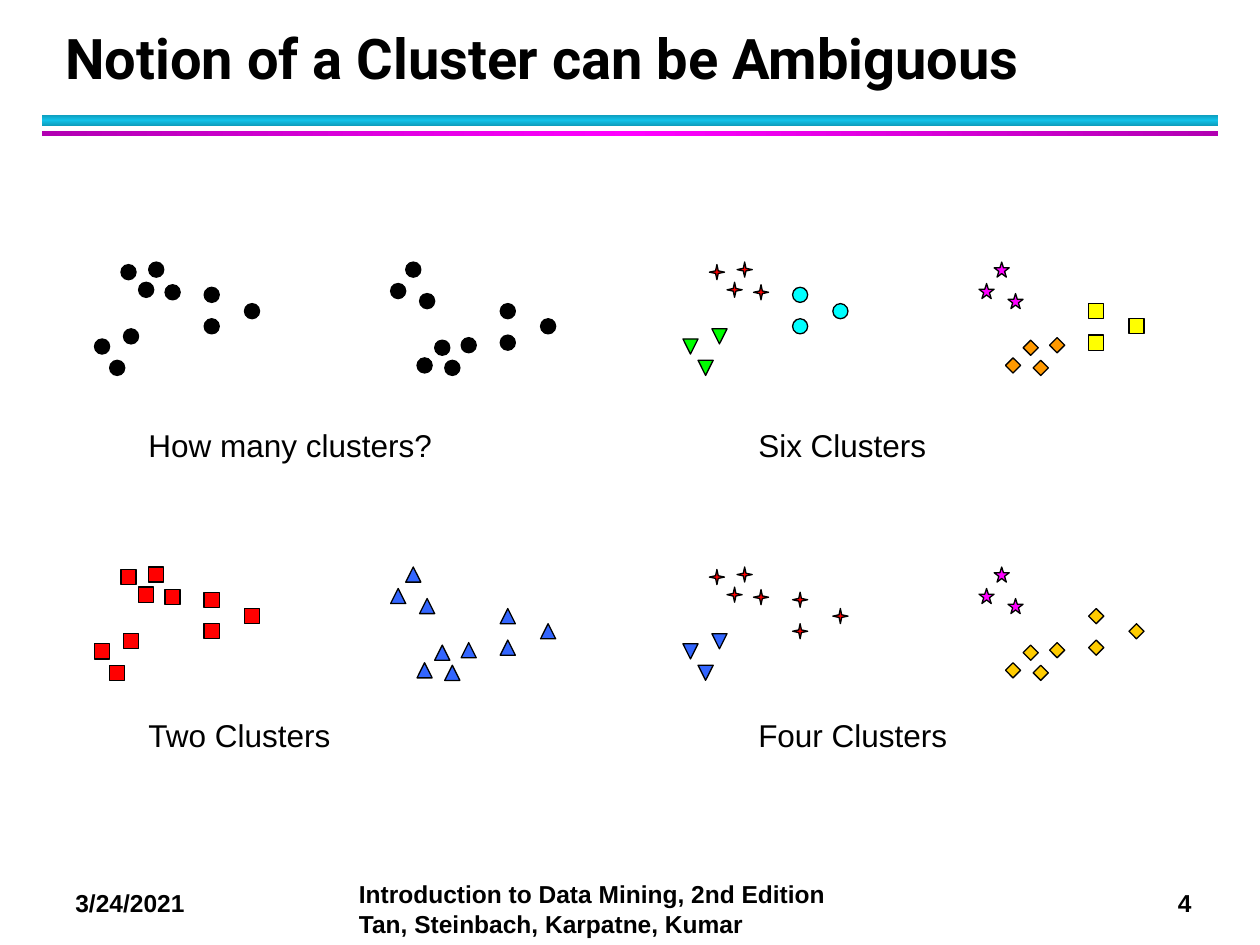
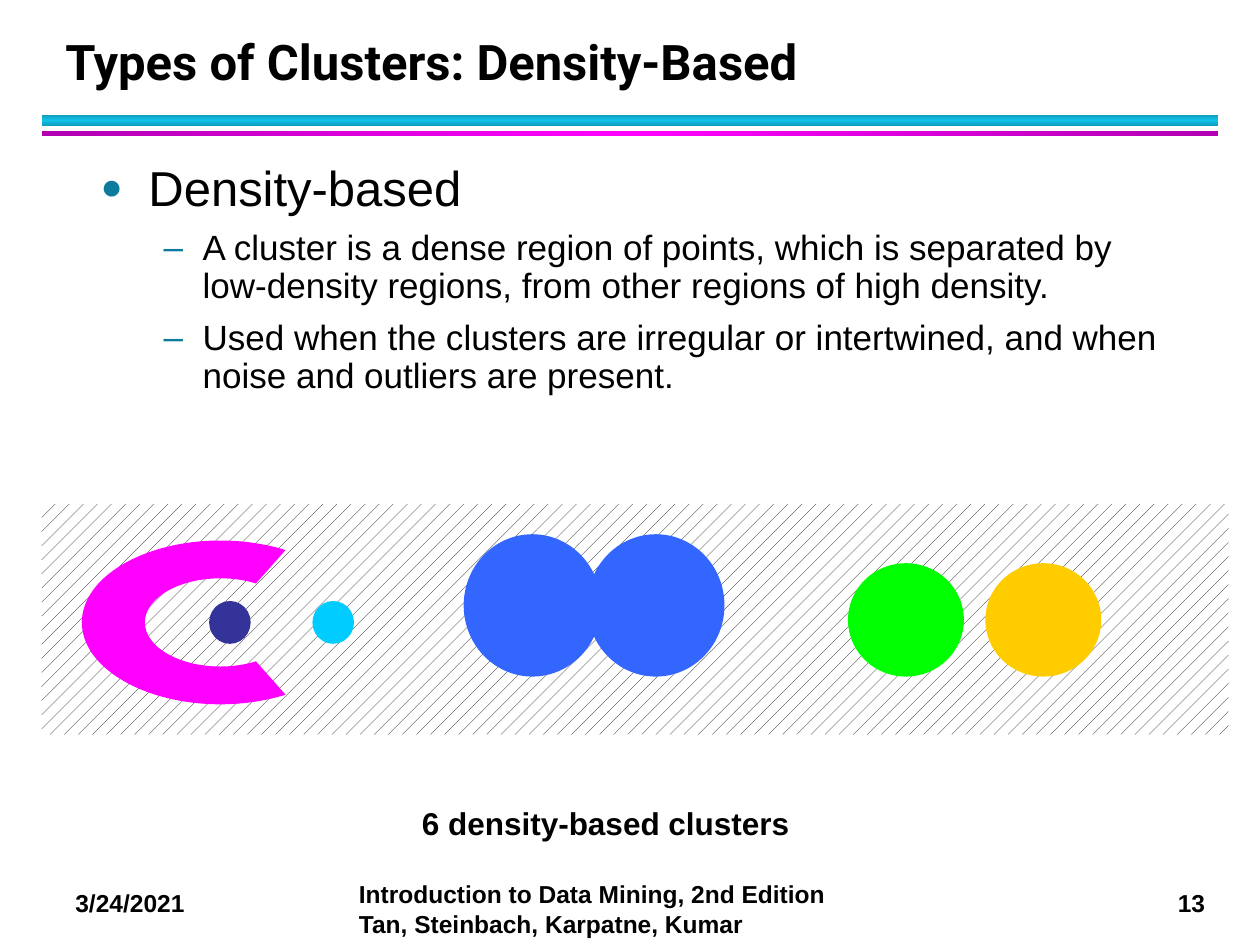
import copy
import math
from dataclasses import dataclass

import lxml.etree
import pptx
import pptx.dml.color
import pptx.enum.dml
import pptx.enum.shapes
import pptx.enum.text
import pptx.oxml.ns
import pptx.util

Inches = pptx.util.Inches
Pt = pptx.util.Pt
Kind = pptx.enum.shapes.MSO_SHAPE
qn = pptx.oxml.ns.qn
color = pptx.dml.color.RGBColor.from_string


@dataclass(frozen=True)
class Theme:
    black: str = "000000"
    white: str = "FFFFFF"
    red: str = "FF0000"
    blue: str = "3366FF"
    navy: str = "333399"
    sky: str = "00CCFF"
    cyan: str = "00FFFF"
    green: str = "00FF00"
    magenta: str = "FF00FF"
    dark_magenta: str = "B200B2"
    gold: str = "FFCC00"
    orange: str = "FF9900"
    yellow: str = "FFFF00"
    teal: str = "12C2E9"
    dark_teal: str = "0E9BBA"
    bullet: str = "0C7B9C"
    title_font: str = "Roboto"
    text_font: str = "Arial"
    footer_size: int = 14
    label_size: int = 18
    point_size: int = 20
    topic_size: int = 28


theme = Theme()


def add_text(page, box, lines, size, bold=False, font=theme.text_font):
    frame = page.shapes.add_textbox(*map(Inches, box)).text_frame
    frame.word_wrap = True
    for index, line in enumerate(lines):
        para = frame.paragraphs[0] if index == 0 else frame.add_paragraph()
        para.text = line
        para.font.name = font
        para.font.size = Pt(size)
        para.font.bold = bold
        para.font.color.rgb = color(theme.black)
    return frame


def add_mark(page, kind, box, fill, outline=None):
    mark = page.shapes.add_shape(kind, *map(Inches, box))
    mark.shadow.inherit = False
    mark.fill.solid()
    mark.fill.fore_color.rgb = color(fill)
    if outline:
        mark.line.color.rgb = color(outline)
        mark.line.width = Pt(0.75)
    else:
        mark.line.fill.background()
    return mark


deck = pptx.Presentation()
deck.slide_width = Inches(10)
deck.slide_height = Inches(7.5)

bands = [
    (0.91, 0.09, 90, theme.dark_teal, theme.teal),
    (1.04, 0.04, 0, theme.dark_magenta, theme.magenta),
]
titles = [
    ("Notion of a Cluster can be Ambiguous", 32, "4"),
    ("Types of Clusters: Density-Based", 28, "13"),
]
pages = []
for title, title_size, number in titles:
    page = deck.slides.add_slide(deck.slide_layouts[6])
    pages.append(page)
    for top, height, angle, edge, middle in bands:
        band = add_mark(page, Kind.RECTANGLE, (0.33, top, 9.34, height), edge)
        band.fill.gradient()
        band.fill.gradient_angle = angle
        stop_list = band._element.spPr.find(".//" + qn("a:gsLst"))
        stop_list.append(copy.deepcopy(stop_list[0]))
        for stop, position, shade in zip(
            band.fill.gradient_stops, (0, 0.5, 1), (edge, middle, edge)
        ):
            stop.position = position
            stop.color.rgb = color(shade)
    footers = [
        ((0.5, 7, 1.33, 0.34), "3/24/2021"),
        ((9.25, 7, 0.44, 0.34), number),
        ((2.75, 6.93, 4.08, 0.57),
         "Introduction to Data Mining, 2nd Edition Tan, Steinbach, Karpatne, Kumar"),
    ]
    for box, text in footers:
        add_text(page, box, [text], theme.footer_size, True)
    heading = add_text(page, (0.42, 0.17, 9.06, 0.6), [title], title_size, True, theme.title_font)
    heading.vertical_anchor = pptx.enum.text.MSO_ANCHOR.BOTTOM
    heading.paragraphs[0].line_spacing = Pt(36)

ambiguous, density = pages

point_groups = [
    [(0.56, 0.18), (0.21, 0.02), (0.43, 0), (0.35, 0.16)],
    [(0.23, 0.53), (0, 0.61), (0.12, 0.78)],
    [(0.87, 0.2), (1.19, 0.33), (0.87, 0.45)],
]
dot = (Kind.OVAL, theme.black)
red_square = (Kind.RECTANGLE, theme.red)
blue_triangle = (Kind.ISOSCELES_TRIANGLE, theme.blue)
red_star = (Kind.STAR_4_POINT, theme.red)
pink_star = (Kind.STAR_5_POINT, theme.magenta)
gold_diamond = (Kind.DIAMOND, theme.gold)
panels = [
    ("How many clusters?", 0, 0, [dot] * 3, [dot] * 3),
    ("Six Clusters", 1, 0,
     [red_star, (Kind.ISOSCELES_TRIANGLE, theme.green), (Kind.OVAL, theme.cyan)],
     [(Kind.DIAMOND, theme.orange), pink_star, (Kind.RECTANGLE, theme.yellow)]),
    ("Two Clusters", 0, 1, [red_square] * 3, [blue_triangle] * 3),
    ("Four Clusters", 1, 1,
     [red_star, blue_triangle, red_star],
     [gold_diamond, pink_star, gold_diamond]),
]
cloud_height = 0.78
for label, column, row, left_styles, right_styles in panels:
    panel_left = 0.75 + 4.67 * column
    panel_top = 2.08 + 2.42 * row
    for side, styles in enumerate((left_styles, right_styles)):
        for (kind, fill), points in zip(styles, point_groups):
            for x, y in points:
                mark_top = panel_top + (cloud_height - y if side else y)
                box = (panel_left + 2.35 * side + x, mark_top, 0.12, 0.12)
                mark = add_mark(ambiguous, kind, box, fill, theme.black)
                if kind == Kind.STAR_4_POINT:
                    mark.adjustments[0] = 0.125
                if side == 0:
                    mark._element.spPr.xfrm.set("flipV", "1")
    label_box = (1.08 + 4.84 * column, 3.33 + 2.3 * row, 2.5, 0.4)
    add_text(ambiguous, label_box, [label], theme.label_size)

body = add_text(density, (0.7, 1.25, 8.75, 5.59), [
    "Density-based",
    "A cluster is a dense region of points, which is separated by low-density regions, "
    "from other regions of high density.",
    "Used when the clusters are irregular or intertwined, and when noise and outliers are present.",
], theme.point_size)
bullet_styles = [
    (theme.topic_size, 0, 0.38, 0.38, "●", 75),
    (theme.point_size, 1, 0.81, 0.31, "–", 100),
    (theme.point_size, 1, 0.81, 0.31, "–", 100),
]
for para, (size, level, margin, hanging, sign, percent) in zip(body.paragraphs, bullet_styles):
    para.level = level
    para.font.size = Pt(size)
    para.line_spacing = 0.9
    para.space_before = Pt(size * 0.2)
    para.space_after = Pt(4)
    properties = para._p.get_or_add_pPr()
    properties.set("marL", str(Inches(margin)))
    properties.set("indent", str(-Inches(hanging)))
    bullet_color = lxml.etree.Element(qn("a:buClr"))
    lxml.etree.SubElement(bullet_color, qn("a:srgbClr"), val=theme.bullet)
    bullet_size = lxml.etree.Element(qn("a:buSzPct"), val=str(percent * 1000))
    bullet_font = lxml.etree.Element(qn("a:buFont"), typeface=theme.text_font)
    bullet_sign = lxml.etree.Element(qn("a:buChar"), char=sign)
    for part in (bullet_color, bullet_size, bullet_font, bullet_sign):
        properties.find(qn("a:defRPr")).addprevious(part)

noise = add_mark(density, Kind.RECTANGLE, (0.33, 4, 9.42, 1.83), theme.white)
noise.fill.patterned()
noise.fill.pattern = pptx.enum.dml.MSO_PATTERN.PERCENT_10
noise.fill.fore_color.rgb = color(theme.black)
noise.fill.back_color.rgb = color(theme.white)

tip_angles = [62, 90, 180, 270, 298]
outline = []
for radius_x, radius_y, degrees in [(1.1, 0.65, tip_angles), (0.6, 0.35, tip_angles[::-1])]:
    angles = [math.radians(degree) for degree in degrees]
    arc = [(math.cos(angles[0]), math.sin(angles[0]))]
    for start, end in zip(angles, angles[1:]):
        pull = 4 / 3 * math.tan((end - start) / 4)
        arc += [
            (math.cos(start) - pull * math.sin(start), math.sin(start) + pull * math.cos(start)),
            (math.cos(end) + pull * math.sin(end), math.sin(end) - pull * math.cos(end)),
            (math.cos(end), math.sin(end)),
        ]
    outline += [(Inches(1.75 + radius_x * x), Inches(4.94 - radius_y * y)) for x, y in arc]
builder = density.shapes.build_freeform(*outline[0])
builder.add_line_segments(outline[1:], close=True)
crescent = builder.convert_to_shape()
segments = crescent._element.spPr.findall(".//" + qn("a:lnTo"))
for first in (0, 3, 6, 9, 13, 16, 19, 22):
    curve = lxml.etree.Element(qn("a:cubicBezTo"))
    segments[first].addprevious(curve)
    for segment in segments[first:first + 3]:
        curve.append(segment[0])
        segment.getparent().remove(segment)
crescent.shadow.inherit = False
crescent.fill.solid()
crescent.fill.fore_color.rgb = color(theme.magenta)
crescent.line.fill.background()

round_clusters = [
    (1.66, 4.77, 0.33, 0.34, theme.navy),
    (2.48, 4.77, 0.33, 0.34, theme.sky),
    (6.73, 4.47, 0.92, 0.9, theme.green),
    (7.82, 4.47, 0.92, 0.9, theme.gold),
    (3.68, 4.24, 1.09, 1.13, theme.blue),
    (4.66, 4.24, 1.09, 1.13, theme.blue),
]
for *box, fill in round_clusters:
    add_mark(density, Kind.OVAL, box, fill)
add_text(density, (3.25, 6.33, 3.5, 0.4), ["6 density-based clusters"], theme.label_size, True)

deck.save("out.pptx")
